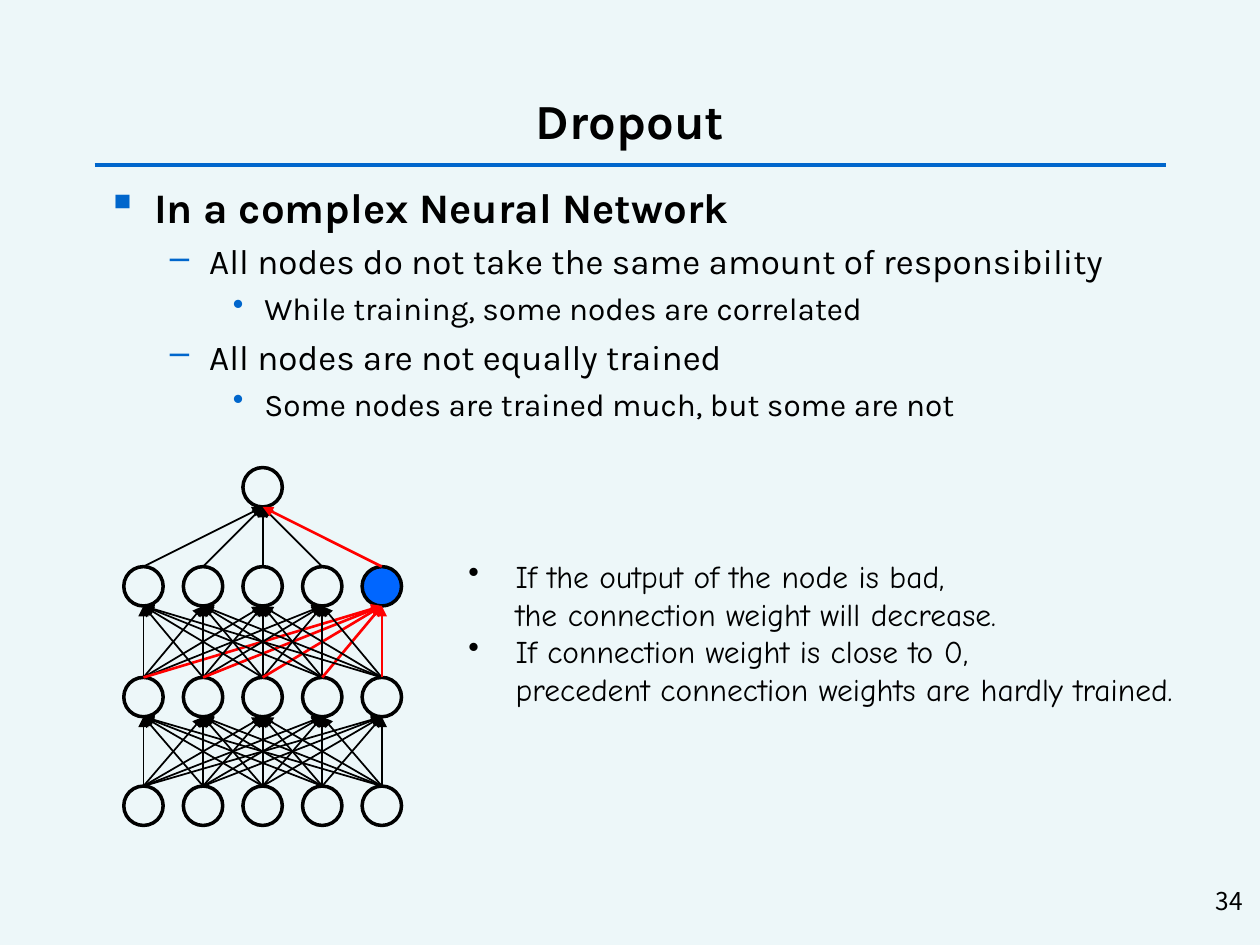
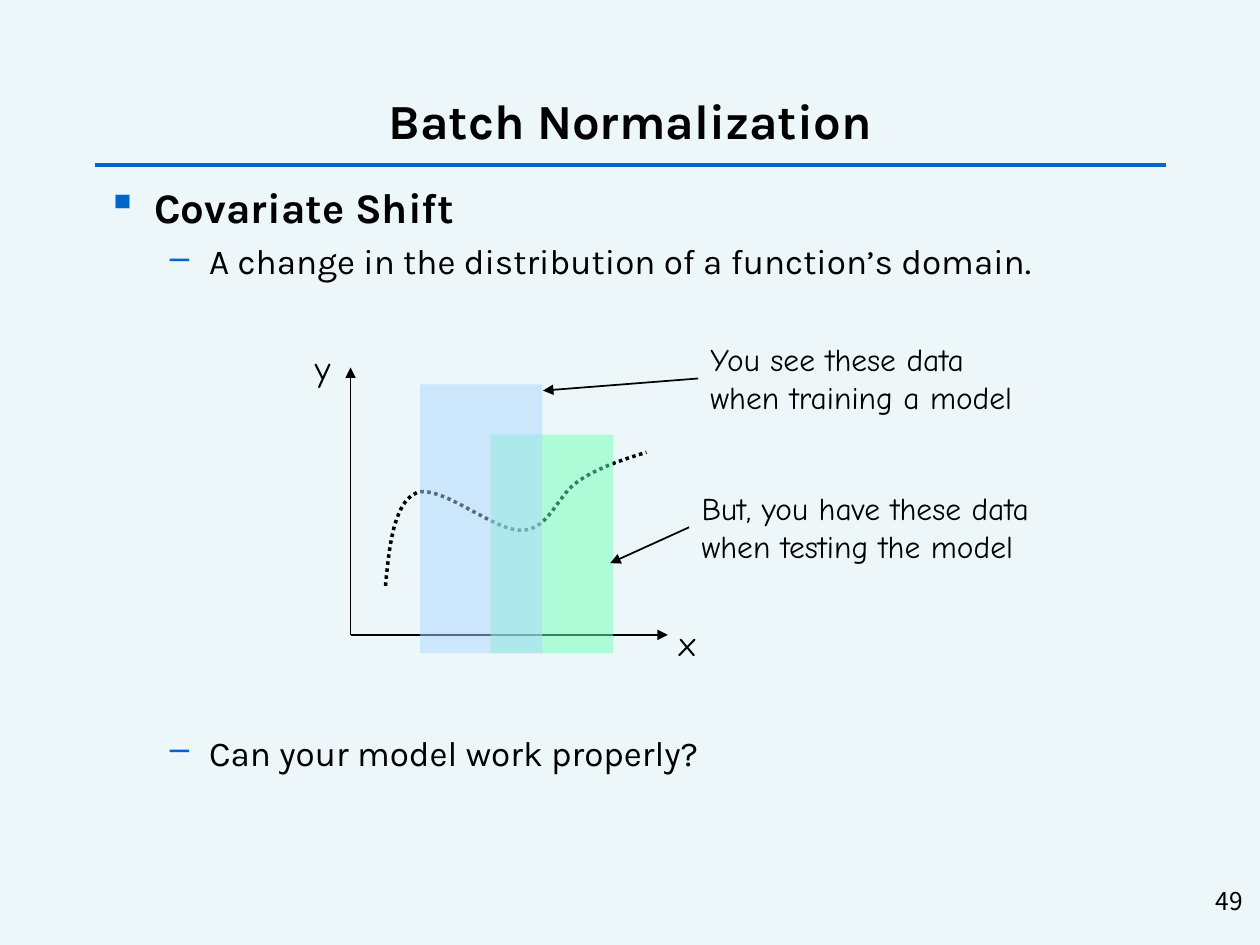
from itertools import product

from lxml import etree
from pptx import Presentation
from pptx.dml.color import RGBColor
from pptx.enum import dml, shapes, text
from pptx.oxml import ns
from pptx.util import Pt

# Shared look
BACKGROUND = RGBColor(0xED, 0xF7, 0xF9)
ACCENT = RGBColor(0x00, 0x66, 0xCC)
BLACK = RGBColor(0x00, 0x00, 0x00)
RED = RGBColor(0xFF, 0x00, 0x00)
ACTIVE_NODE = RGBColor(0x00, 0x66, 0xFF)
TRAINING = RGBColor(0xAD, 0xD6, 0xFF)
TESTING = RGBColor(0x70, 0xFF, 0xB8)
MAIN_FONT, NOTE_FONT, NUMBER_FONT = "Karla", "Comic Neue", "Noto Sans CJK KR"

# Outline levels: bullet, left margin, hanging indent, size, space before
LEVELS = [("▪", 27, 27, 24, 5.6), ("–", 58.5, 22.5, 20, 4.7), ("•", 90, 18, 18, 4.2)]

# Network grid: column centres and layer tops
NODE_SIZE = 22.5
COLUMNS = [82 + 34.05 * column for column in range(5)]
OUTPUT_TOP, UPPER_TOP, MIDDLE_TOP, INPUT_TOP = 267.2, 323.8, 387.1, 449.2


def add_child(parent, tag, **attributes):
    return etree.SubElement(parent, ns.qn(tag), attributes)


def style(paragraph, font_name, size, bold=False):
    font = paragraph.font
    font.name, font.size, font.bold = font_name, Pt(size), bold
    font.color.rgb = BLACK


def add_bullet(paragraph, character, margin, hanging, color):
    properties = paragraph._p.get_or_add_pPr()
    properties.set("marL", str(Pt(margin)))
    properties.set("indent", str(-Pt(hanging)))
    bullet_color = add_child(properties, "a:buClr")
    add_child(bullet_color, "a:srgbClr", val=str(color))
    add_child(properties, "a:buChar", char=character)


def add_text_box(slide, left, top, width, height):
    box = slide.shapes.add_textbox(Pt(left), Pt(top), Pt(width), Pt(height))
    box.text_frame.word_wrap = True
    return box


def add_paragraphs(box, items):
    """Yield one paragraph for each text, starting with the box's own."""
    frame = box.text_frame
    for index, item in enumerate(items):
        paragraph = frame.add_paragraph() if index else frame.paragraphs[0]
        paragraph.text = item
        yield paragraph


def add_note(slide, left, top, width, height, lines, size=18, bulleted=False):
    box = add_text_box(slide, left, top, width, height)
    for paragraph in add_paragraphs(box, lines):
        if bulleted:
            add_bullet(paragraph, "•", 27, 27, BLACK)
        style(paragraph, NOTE_FONT, size)
    return box


def add_outline(slide, items):
    """Add (level, text, extra space before) items as the slide's body."""
    box = add_text_box(slide, 54, 100, 612, 380)
    paragraphs = add_paragraphs(box, [item[1] for item in items])
    for index, (paragraph, (level, _, extra)) in enumerate(zip(paragraphs, items)):
        character, margin, hanging, size, space = LEVELS[level]
        paragraph.level = level
        add_bullet(paragraph, character, margin, hanging, ACCENT)
        paragraph.space_before = Pt(space + extra if index else 0)
        style(paragraph, MAIN_FONT, size, bold=level == 0)


def add_line(slide, start, end, color=BLACK, width=1, arrow=True):
    line = slide.shapes.add_connector(
        shapes.MSO_CONNECTOR.STRAIGHT, *(Pt(value) for value in (*start, *end)))
    line.line.color.rgb = color
    line.line.width = Pt(width)
    if arrow:
        add_child(line.line._get_or_add_ln(), "a:tailEnd", type="triangle")
    add_child(line._element.spPr, "a:effectLst")
    return line


def add_slide(presentation, title, number):
    slide = presentation.slides.add_slide(presentation.slide_layouts[5])
    add_line(slide, (54, 94.3), (666, 94.3), ACCENT, 2.25, arrow=False)
    heading = slide.shapes.title
    heading.left, heading.top = Pt(54), Pt(48.2)
    heading.width, heading.height = Pt(612), Pt(40.3)
    heading.text_frame.text = title
    heading.text_frame.vertical_anchor = text.MSO_ANCHOR.MIDDLE
    paragraph = heading.text_frame.paragraphs[0]
    paragraph.alignment = text.PP_ALIGN.CENTER
    style(paragraph, MAIN_FONT, 28, bold=True)

    page = add_text_box(slide, 567.4, 502.6, 149.8, 36)
    page.text_frame.text = number
    paragraph = page.text_frame.paragraphs[0]
    paragraph.alignment = text.PP_ALIGN.RIGHT
    style(paragraph, NUMBER_FONT, 14)
    return slide


def add_node(slide, center, top, active=False):
    node = slide.shapes.add_shape(
        shapes.MSO_SHAPE.OVAL, Pt(center - NODE_SIZE / 2), Pt(top),
        Pt(NODE_SIZE), Pt(NODE_SIZE))
    node.shadow.inherit = False
    node.line.color.rgb = BLACK
    node.line.width = Pt(2)
    if active:
        node.fill.solid()
        node.fill.fore_color.rgb = ACTIVE_NODE
    else:
        node.fill.background()


def connect_layers(slide, lower_columns, lower_top, upper_columns, upper_top, is_active):
    """Join every lower node to every upper node, active links in red."""
    for start, end in product(lower_columns, upper_columns):
        color, width = (RED, 1.5) if is_active(start, end) else (BLACK, 1)
        add_line(slide, (start, lower_top), (end, upper_top + NODE_SIZE), color, width)


def add_data_range(slide, left, top, width, height, color):
    area = slide.shapes.add_shape(
        shapes.MSO_SHAPE.RECTANGLE, Pt(left), Pt(top), Pt(width), Pt(height))
    area.shadow.inherit = False
    area.line.fill.background()
    area.fill.solid()
    area.fill.fore_color.rgb = color
    color_element = area._element.spPr.find(ns.qn("a:solidFill"))[0]
    add_child(color_element, "a:alpha", val="50000")


def bezier_points(start, control_1, control_2, end, steps=12):
    for step in range(1, steps + 1):
        t = step / steps
        weights = ((1 - t) ** 3, 3 * t * (1 - t) ** 2, 3 * t * t * (1 - t), t ** 3)
        points = (start, control_1, control_2, end)
        yield tuple(Pt(sum(w * p[axis] for w, p in zip(weights, points)))
                    for axis in (0, 1))


def add_dotted_curve(slide, knots):
    """Draw cubic curves through a list of knots and control points."""
    builder = slide.shapes.build_freeform(Pt(knots[0][0]), Pt(knots[0][1]))
    for first in range(0, len(knots) - 1, 3):
        builder.add_line_segments(bezier_points(*knots[first:first + 4]), close=False)
    curve = builder.convert_to_shape()
    curve.shadow.inherit = False
    curve.fill.background()
    curve.line.color.rgb = BLACK
    curve.line.width = Pt(2)
    curve.line.dash_style = dml.MSO_LINE.ROUND_DOT


def add_callout(slide, box_place, lines, target):
    box = add_note(slide, *box_place, [lines])
    arrow = add_line(slide, (box_place[0], box_place[1]), target)
    arrow.begin_connect(box, 1)


def build_dropout(presentation):
    slide = add_slide(presentation, "Dropout", "34")
    add_outline(slide, [
        (0, "In a complex Neural Network", 0),
        (1, "All nodes do not take the same amount of responsibility", 0),
        (2, "While training, some nodes are correlated", 0),
        (1, "All nodes are not equally trained", 0),
        (2, "Some nodes are trained much, but some are not", 0),
    ])

    # Network nodes and links
    output, active = COLUMNS[2], COLUMNS[-1]
    add_node(slide, output, OUTPUT_TOP)
    for top in (UPPER_TOP, MIDDLE_TOP, INPUT_TOP):
        for center in COLUMNS:
            add_node(slide, center, top, top == UPPER_TOP and center == active)
    connect_layers(slide, COLUMNS, MIDDLE_TOP, COLUMNS, UPPER_TOP,
                   lambda start, end: end == active)
    connect_layers(slide, COLUMNS, INPUT_TOP, COLUMNS, MIDDLE_TOP,
                   lambda start, end: False)
    connect_layers(slide, COLUMNS, UPPER_TOP, [output], OUTPUT_TOP,
                   lambda start, end: start == active)

    add_note(slide, 260.6, 314.6, 458.6, 94.3, [
        "If the output of the node is bad,\vthe connection weight will decrease.",
        "If connection weight is close to 0,\v"
        "precedent connection weights are hardly trained.",
    ], bulleted=True)


def build_batch_normalization(presentation):
    slide = add_slide(presentation, "Batch Normalization", "49")
    add_outline(slide, [
        (0, "Covariate Shift", 0),
        (1, "A change in the distribution of a function’s domain.", 0),
        (1, "Can your model work properly?", 252),
    ])

    # Axes and the function
    origin = (200.3, 362.8)
    add_line(slide, origin, (381.6, 362.8))
    add_line(slide, origin, (200.3, 210))
    add_dotted_curve(slide, [
        (220.3, 334.8), (222.5, 311), (225.4, 286.6), (238.3, 281.5),
        (252, 276.5), (283.7, 304.6), (298.8, 303.1),
        (313.9, 302.4), (319, 282.2), (330.5, 275),
        (342, 267.1), (355.7, 262.8), (369.4, 258.5)])
    add_note(slide, 380.9, 351.4, 27, 31.7, ["x"], 20)
    add_note(slide, 172.8, 194.4, 26, 31.7, ["y"], 20)

    # Data ranges and their callouts
    add_callout(slide, (398.9, 190.8, 197.3, 51),
                "You see these data\vwhen training a model", (310.3, 223.2))
    add_data_range(slide, 280.3, 248.4, 70, 124.8, TESTING)
    add_callout(slide, (393.8, 275.8, 229, 51),
                "But, you have these data\vwhen testing the model", (348.7, 321.8))
    add_data_range(slide, 240, 219.6, 70, 153.6, TRAINING)


def main():
    presentation = Presentation()
    presentation.slide_width, presentation.slide_height = Pt(720), Pt(540)
    fill = presentation.slide_master.background.fill
    fill.solid()
    fill.fore_color.rgb = BACKGROUND
    build_dropout(presentation)
    build_batch_normalization(presentation)
    presentation.save("out.pptx")


if __name__ == "__main__":
    main()
